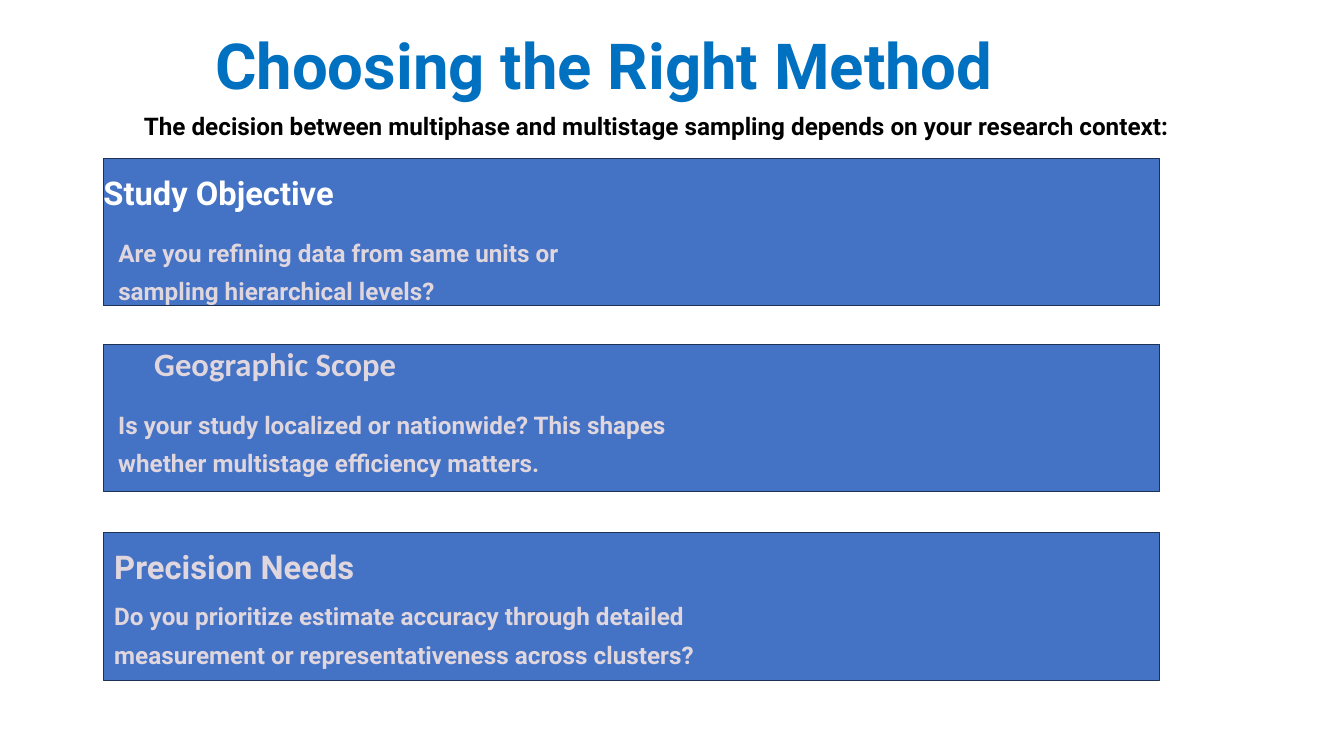
from pptx import Presentation
from pptx.dml.color import RGBColor
from pptx.enum.shapes import MSO_SHAPE
from pptx.enum.text import PP_ALIGN
from pptx.util import Pt

RECT = MSO_SHAPE.RECTANGLE
LEFT, RIGHT = PP_ALIGN.LEFT, PP_ALIGN.RIGHT
PX = 9144  # 100 px to the inch

BLUE, CARD, EDGE = "0070C0", "4472C4", "1E3256"
BLACK, WHITE, PALE = "000000", "FFFFFF", "E0D6DE"

TITLE_STYLE = {"size": Pt(68), "name": "Roboto", "bold": True}
HEAD_STYLE = {"size": Pt(35), "name": "Roboto", "bold": True}
BODY_STYLE = {"size": Pt(26), "name": "Roboto", "bold": True}

TITLE = "Choosing the Right Method"
INTRO = ("The decision between multiphase and multistage sampling "
         "depends on your research context:")

CARD_X, CARD_W, CARD_H = 154, 1572, 219
HEAD_W, HEAD_H = 471, 59

# Heading and body boxes are (left, top, ...) with top measured from the card.
CARDS = [
    {"top": 236, "head": "Study Objective", "head_at": (26, 21),
     "align": RIGHT, "color": WHITE, "font": "Roboto",
     "body": "Are you refining data from same units or sampling hierarchical levels?",
     "body_at": (176, 104, 698, 115)},
    {"top": 512, "head": "Geographic Scope", "head_at": (119, 0),
     "align": RIGHT, "color": PALE, "font": "Calibri",
     "body": "Is your study localized or nationwide? This shapes whether "
             "multistage efficiency matters.",
     "body_at": (176, 84, 824, 106)},
    {"top": 793, "head": "Precision Needs", "head_at": (170, 20),
     "align": LEFT, "color": PALE, "font": "Roboto",
     "body": "Do you prioritize estimate accuracy through detailed measurement "
             "or representativeness across clusters?",
     "body_at": (170, 88, 890, 136)},
]


def rgb(value):
    return RGBColor.from_string(value)


def px(*lengths):
    return [n * PX for n in lengths]


def add_text(s, box, text, style, color, spacing, align=LEFT, wrap=False):
    tf = s.shapes.add_textbox(*px(*box)).text_frame
    tf.word_wrap = wrap
    for side in ("left", "top", "right", "bottom"):
        setattr(tf, f"margin_{side}", 0)
    p = tf.paragraphs[0]
    p.alignment = align
    p.line_spacing = Pt(spacing)
    r = p.add_run()
    r.text = text
    for key, value in style.items():
        setattr(r.font, key, value)
    r.font.color.rgb = rgb(color)


def add_card(s, card):
    top = card["top"]
    sp = s.shapes.add_shape(RECT, *px(CARD_X, top, CARD_W, CARD_H))
    sp.shadow.inherit = False
    sp.fill.solid()
    sp.fill.fore_color.rgb = rgb(CARD)
    sp.line.color.rgb = rgb(EDGE)
    sp.line.width = Pt(1)

    x, y = card["head_at"]
    add_text(s, (x, top + y, HEAD_W, HEAD_H), card["head"],
             {**HEAD_STYLE, "name": card["font"]}, card["color"], 42, card["align"])
    x, y, w, h = card["body_at"]
    add_text(s, (x, top + y, w, h), card["body"], BODY_STYLE, PALE, 41.2, wrap=True)


def main():
    prs = Presentation()
    prs.slide_width, prs.slide_height = px(2000, 1125)
    s = prs.slides.add_slide(prs.slide_layouts[6])
    add_text(s, (320, 34, 1178, 118), TITLE, TITLE_STYLE, BLUE, 84.7)
    add_text(s, (214, 151, 1572, 118), INTRO, BODY_STYLE, BLACK, 41.2)
    for card in CARDS:
        add_card(s, card)
    prs.save("out.pptx")


if __name__ == "__main__":
    main()
